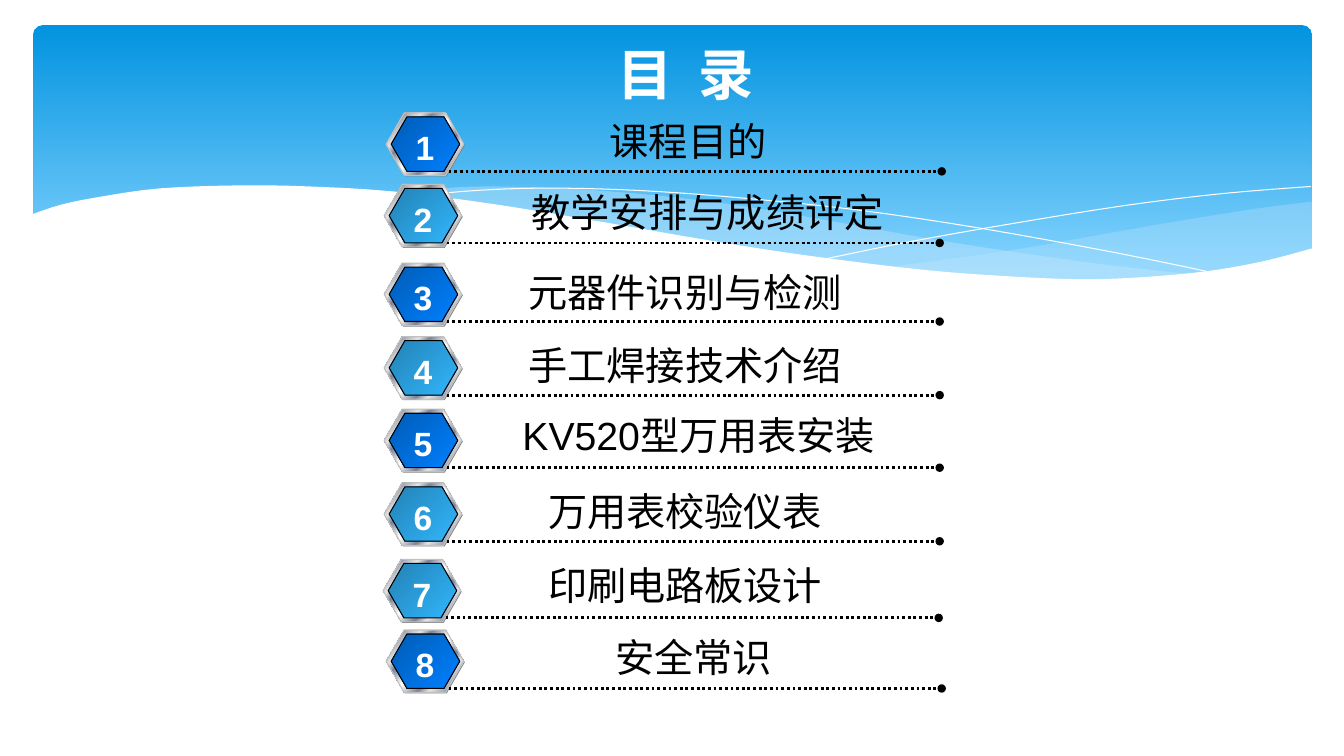
from lxml import etree
from pptx import Presentation
from pptx.dml.color import RGBColor
from pptx.enum.dml import MSO_LINE
from pptx.enum.shapes import MSO_CONNECTOR, MSO_SHAPE
from pptx.enum.text import MSO_ANCHOR, PP_ALIGN
from pptx.oxml.ns import qn
from pptx.util import Inches, Pt

ROUND, HEXAGON = MSO_SHAPE.ROUNDED_RECTANGLE, MSO_SHAPE.HEXAGON
STRAIGHT, DOTTED = MSO_CONNECTOR.STRAIGHT, MSO_LINE.ROUND_DOT
CENTER, MIDDLE = PP_ALIGN.CENTER, MSO_ANCHOR.MIDDLE

COLORS = {
    "white": "FFFFFF", "black": "000000", "shade": "808080", "rim": "C0C0C0",
    "silver": "E6E6E6", "steel": "7D8496", "mist": "C6E7FC",
    "sky": "0293E0", "sky_light": "83D3FE",
    "blue_dark": "005CB6", "blue": "0080FF",
    "teal_dark": "2382B5", "teal": "31B6FD",
}
LATIN, CJK = "Arial", "Noto Sans CJK SC"

# Gradients: (position in percent, colour)
SKY = [(0, "sky"), (90, "sky_light")]
BLUE = [(0, "blue_dark"), (100, "blue")]
TEAL = [(0, "teal_dark"), (100, "teal")]
METAL = [(0, "silver"), (8, "steel"), (26, "silver"), (34, "steel"),
         (46, "silver"), (50, "white"), (54, "silver"), (66, "steel"),
         (74, "silver"), (92, "steel"), (100, "silver")]

# Agenda: label, badge left and top, badge gradient, label left, top and width
AGENDA = [
    ("课程目的", 3.83, 1.12, BLUE, 5.0, 1.11, 3.65),
    ("教学安排与成绩评定", 3.81, 1.83, TEAL, 4.97, 1.82, 4.09),
    ("元器件识别与检测", 3.81, 2.61, BLUE, 4.97, 2.61, 3.65),
    ("手工焊接技术介绍", 3.81, 3.34, TEAL, 4.97, 3.33, 3.65),
    ("KV520型万用表安装", 3.81, 4.06, BLUE, 4.15, 4.03, 5.56),
    ("万用表校验仪表", 3.81, 4.79, TEAL, 4.97, 4.78, 3.65),
    ("印刷电路板设计", 3.80, 5.55, TEAL, 4.97, 5.52, 3.65),
    ("安全常识", 3.83, 6.25, BLUE, 5.02, 6.23, 3.72),
]

# Waves: each outline is a chain of smooth curves, given by their knots
RIGHT_VEIL = [
    [(13.01, 2), (12.46, 2.07), (11.47, 2.23), (10.05, 2.48), (8.82, 2.65)],
    [(8.82, 2.65), (9.58, 2.72), (10.25, 2.77), (10.85, 2.78),
     (11.51, 2.75), (12.18, 2.67), (12.66, 2.57), (13.01, 2.47)],
]
LONG_VEIL = [
    [(11.9, 2.73), (10.76, 2.6), (9.41, 2.4), (8.39, 2.22), (7.4, 2.05),
     (6.52, 1.94), (5.6, 1.87), (4.82, 1.85), (4.37, 1.87), (3.82, 1.91)],
    [(3.82, 1.91), (4.83, 2.03), (5.99, 2.22), (7.55, 2.48), (8.67, 2.64),
     (9.63, 2.74), (10.46, 2.78), (11.18, 2.78), (11.9, 2.73)],
]
FALLING_LINE = [
    [(4.12, 1.95), (4.58, 1.9), (5.16, 1.87), (5.77, 1.87), (6.52, 1.9),
     (7.42, 1.97), (8.48, 2.08), (9.7, 2.26), (11.08, 2.51), (12.1, 2.72)],
]
RISING_LINE = [
    [(8.18, 2.57), (8.96, 2.41), (9.97, 2.23), (11.15, 2.04),
     (12.13, 1.92), (13, 1.85)],
]
WHITE_WAVE = [
    [(13.03, 2.46), (12.54, 2.59), (11.98, 2.69), (11.34, 2.75),
     (10.78, 2.77), (10.15, 2.75), (9.18, 2.68), (8.04, 2.54), (7.06, 2.39),
     (5.96, 2.2), (4.86, 2.02), (3.9, 1.9), (3.06, 1.85), (2.35, 1.84),
     (1.58, 1.87), (1.01, 1.95), (0.61, 2.03), (0.31, 2.13)],
    [(0.31, 3.29), (13.03, 3.29)],
]


def rgb(name):
    return RGBColor.from_string(COLORS[name])


def fill_gradient(s, stops, angle):
    s.fill.gradient()
    grad = s._element.spPr.find(qn("a:gradFill"))
    gs_list = grad.find(qn("a:gsLst"))
    for gs in list(gs_list):
        gs_list.remove(gs)
    for pos, name in stops:
        gs = etree.SubElement(gs_list, qn("a:gs"), pos=str(pos * 1000))
        etree.SubElement(gs, qn("a:srgbClr"), val=COLORS[name])
    grad.find(qn("a:lin")).set("ang", str(angle * 60000))


def fill_solid(s, name, alpha=100):
    s.fill.solid()
    s.fill.fore_color.rgb = rgb(name)
    if alpha < 100:
        clr = s._element.spPr.find(qn("a:solidFill"))[0]
        etree.SubElement(clr, qn("a:alpha"), val=str(alpha * 1000))


def set_line(s, name=None, width=0.75):
    if name is None:
        s.line.fill.background()
    else:
        s.line.color.rgb = rgb(name)
        s.line.width = Pt(width)


def smooth(knots, steps=4):
    """Catmull-Rom curve through the knots."""
    pts = [knots[0]] + knots + [knots[-1]]
    curve = [knots[0]]
    for a, b, c, d in zip(pts, pts[1:], pts[2:], pts[3:]):
        for t in (i / steps for i in range(1, steps + 1)):
            curve.append(tuple(
                q + t / 2 * (r - p + t * (2 * p - 5 * q + 4 * r - s + t * (3 * (q - r) + s - p)))
                for p, q, r, s in zip(a, b, c, d)))
    return curve


def add_wave(curves, close=True):
    pts = [(Inches(x), Inches(y)) for knots in curves for x, y in smooth(knots)]
    builder = slide.shapes.build_freeform(*pts[0], scale=1.0)
    builder.add_line_segments(pts[1:], close=close)
    s = builder.convert_to_shape()
    s.shadow.inherit = False
    return s


def add_shape(kind, x, y, w, h, adjustments):
    s = slide.shapes.add_shape(kind, Inches(x), Inches(y), Inches(w), Inches(h))
    s.shadow.inherit = False
    for i, value in enumerate(adjustments):
        s.adjustments[i] = value
    return s


def add_hexagon(x, y, w, h):
    return add_shape(HEXAGON, x, y, w, h, [0.289, 1.1547])


def add_text(x, y, w, h, runs, size, color, font=LATIN, bold=False, wrap=True):
    """Runs are (text, character spacing in points)."""
    tf = slide.shapes.add_textbox(Inches(x), Inches(y), Inches(w), Inches(h)).text_frame
    tf.word_wrap = wrap
    tf.vertical_anchor = MIDDLE
    p = tf.paragraphs[0]
    p.alignment = CENTER
    for text, spacing in runs:
        r = p.add_run()
        r.text = text
        r.font.name, r.font.size, r.font.bold = font, Pt(size), bold
        r.font.color.rgb = rgb(color)
        r_pr = r._r.get_or_add_rPr()
        etree.SubElement(r_pr, qn("a:ea"), typeface=CJK)
        if spacing:
            r_pr.set("spc", str(spacing * 100))


def add_dotted_rule(x1, x2, y):
    s = slide.shapes.add_connector(STRAIGHT, Inches(x1), Inches(y), Inches(x2), Inches(y))
    set_line(s, "black", 2)
    s.line.dash_style = DOTTED
    etree.SubElement(s.line._get_or_add_ln(), qn("a:tailEnd"), type="oval")
    etree.SubElement(s._element.spPr, qn("a:effectLst"))


prs = Presentation()
prs.slide_width, prs.slide_height = Inches(13.33), Inches(7.5)
slide = prs.slides.add_slide(prs.slide_layouts[6])

# Sky band with waves
band = add_shape(ROUND, 0.33, 0.25, 12.68, 2.7, [0.034])
fill_gradient(band, SKY, 90)
set_line(band)
for outline, alpha in [(RIGHT_VEIL, 29), (LONG_VEIL, 40)]:
    veil = add_wave(outline)
    fill_solid(veil, "mist", alpha)
    set_line(veil)
for outline in (FALLING_LINE, RISING_LINE):
    thread = add_wave(outline, close=False)
    thread.fill.background()
    set_line(thread, "white", 0)
wave = add_wave(WHITE_WAVE)
fill_solid(wave, "white")
set_line(wave)

# Title, with a widened space between its characters
add_text(3.08, 0.42, 7.44, 0.62, [("目", 0), (" ", 9), ("录", 0)], 39.6, "white", CJK, True)

# Agenda rows: badge, dotted rule, label, number
for number, (label, x, y, gradient, label_x, label_y, label_w) in enumerate(AGENDA, 1):
    shade = add_hexagon(x + 0.01, y + 0.01, 0.77, 0.62)
    fill_solid(shade, "shade")
    set_line(shade)
    bezel = add_hexagon(x, y, 0.77, 0.62)
    fill_gradient(bezel, METAL, 45)
    set_line(bezel, "rim")
    face = add_hexagon(x + 0.05, y + 0.04, 0.68, 0.54)
    fill_gradient(face, gradient, 45)
    set_line(face, "black")
    add_dotted_rule(x + 0.62, x + 5.51, y + 0.58)
    add_text(label_x, label_y, label_w, 0.57, [(label, 0)], 28, "black")
    add_text(x + 0.19, y + 0.09, 0.39, 0.5, [(str(number), 0)], 24, "white", bold=True, wrap=False)

prs.save("out.pptx")
